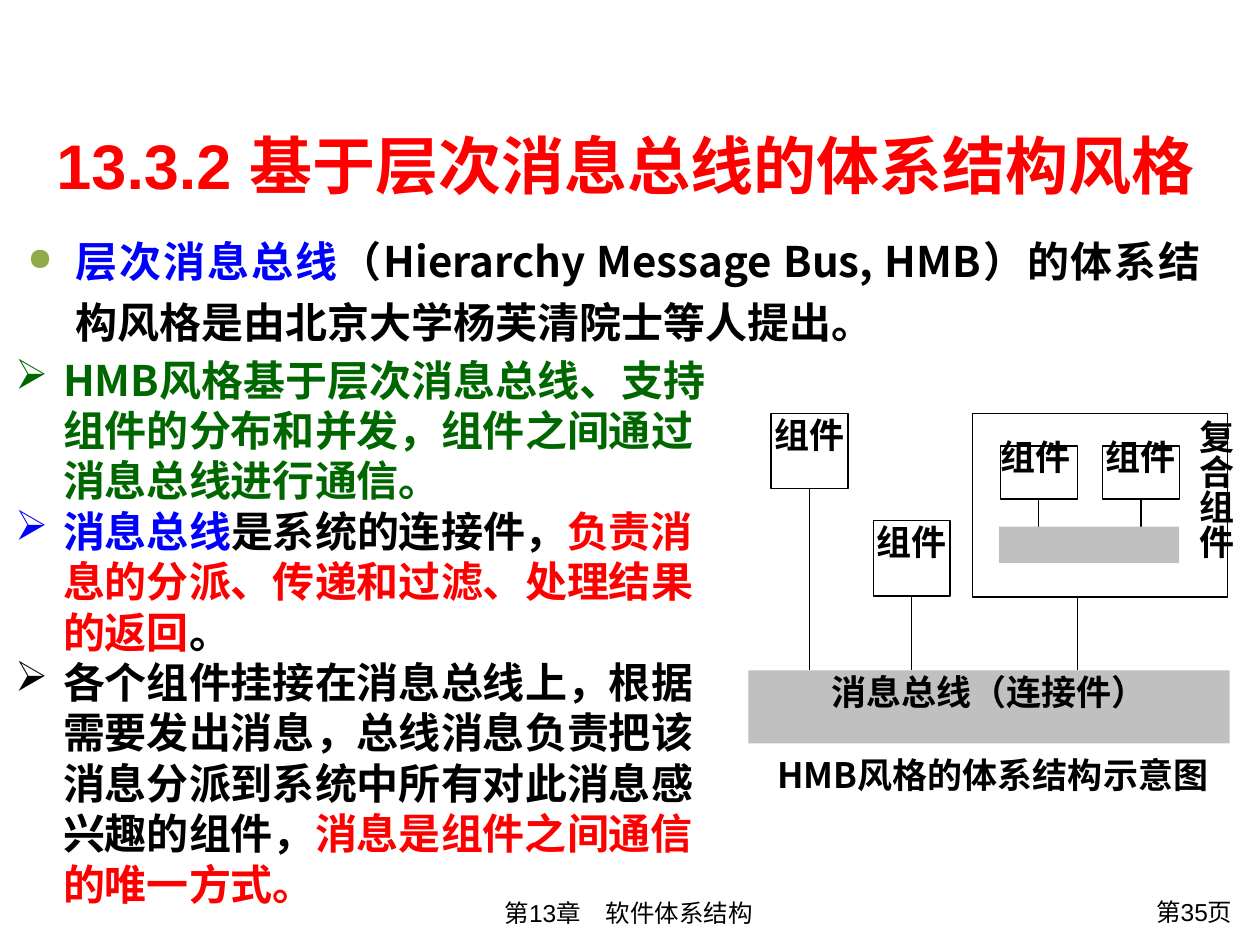
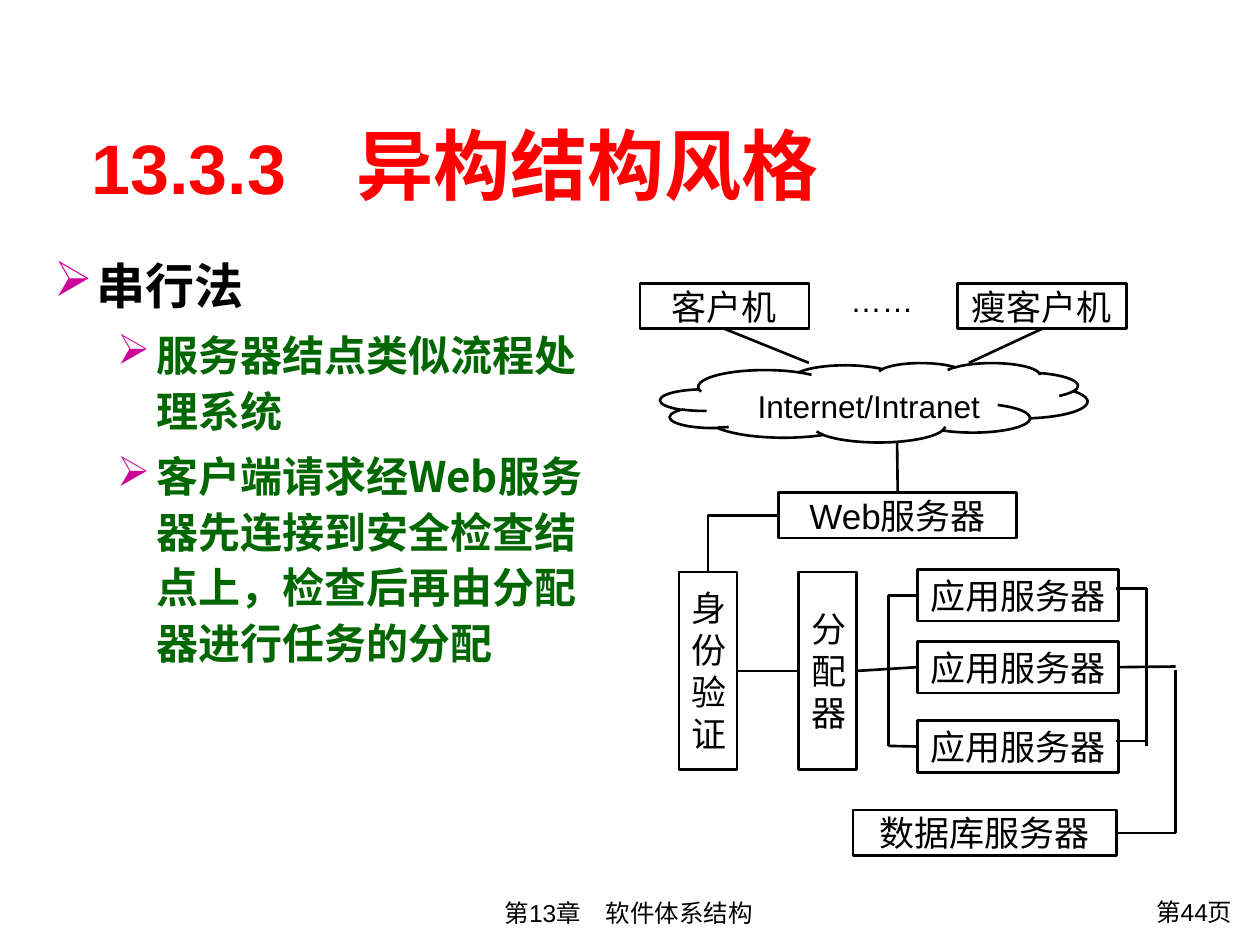
from lxml import etree
from pptx import Presentation
from pptx import util as u
from pptx.dml.color import RGBColor
from pptx.enum import shapes, text
from pptx.oxml.ns import qn

# Shared look
COLUMNS, ROWS = 100, 75
SLIDE_W, SLIDE_H = u.Inches(10), u.Inches(7.5)
LATIN, CJK = "Arial", "Noto Sans CJK JP"
BLACK, WHITE, RED, BLUE = "000000", "FFFFFF", "FF0000", "0000FF"
GREEN, GREY, MAGENTA, OLIVE = "006600", "C0C0C0", "CC0099", "90AB4B"
ALIGN, ANCHOR, PRESET = text.PP_ALIGN, text.MSO_ANCHOR, shapes.MSO_SHAPE
TOP, LEFT, BOTTOM, RIGHT = range(4)
PADDED, TIGHT = (1, 0.5, 1, 0.5), (0, 0, 0, 0)


def color(hex_code):
    return RGBColor.from_string(hex_code)


def x(columns):
    return round(SLIDE_W * columns / COLUMNS)


def y(rows):
    return round(SLIDE_H * rows / ROWS)


# Text
def set_frame(frame, insets, anchor=ANCHOR.TOP):
    frame.word_wrap = True
    frame.vertical_anchor = anchor
    left, top, right, bottom = insets
    frame.margin_left, frame.margin_right = x(left), x(right)
    frame.margin_top, frame.margin_bottom = y(top), y(bottom)


def add_run(paragraph, words, size, hex_code=BLACK, bold=False, face=LATIN):
    run = paragraph.add_run()
    run.text = words
    run.font.size, run.font.bold, run.font.name = u.Pt(size), bold, face
    run.font.color.rgb = color(hex_code)
    east_asian = etree.SubElement(run._r.get_or_add_rPr(), qn("a:ea"))
    east_asian.set("typeface", CJK)


def add_bullet(paragraph, mark, hex_code, margin, hang, percent=100):
    props = paragraph._p.get_or_add_pPr()
    props.set("marL", str(x(margin)))
    props.set("indent", str(-x(hang)))
    tint = etree.SubElement(props, qn("a:buClr"))
    etree.SubElement(tint, qn("a:srgbClr")).set("val", hex_code)
    etree.SubElement(props, qn("a:buSzPct")).set("val", str(percent * 1000))
    etree.SubElement(props, qn("a:buChar")).set("char", mark)


def add_text(slide, place, insets=PADDED, anchor=ANCHOR.TOP):
    left, top, width, height = place
    frame = slide.shapes.add_textbox(x(left), y(top), x(width), y(height)).text_frame
    set_frame(frame, insets, anchor)
    return frame


def add_label(slide, place, words, size, align=ALIGN.LEFT):
    paragraph = add_text(slide, place).paragraphs[0]
    paragraph.alignment = align
    add_run(paragraph, words, size)


def add_list(slide, place, items, insets=TIGHT, line_spacing=1.0):
    """Each item: (bullet settings, size, space before, [(words, colour), ...])."""
    frame = add_text(slide, place, insets)
    for index, (bullet, size, before, pieces) in enumerate(items):
        paragraph = frame.add_paragraph() if index else frame.paragraphs[0]
        add_bullet(paragraph, *bullet)
        paragraph.line_spacing = line_spacing
        if index:
            paragraph.space_before = u.Pt(before)
        for words, hex_code in pieces:
            add_run(paragraph, words, size, hex_code, True, CJK)
    return frame


# Diagram parts
def add_block(slide, place, fill=WHITE, weight=None, preset=PRESET.RECTANGLE):
    left, top, width, height = place
    block = slide.shapes.add_shape(preset, x(left), y(top), x(width), y(height))
    block.shadow.inherit = False
    if fill:
        block.fill.solid()
        block.fill.fore_color.rgb = color(fill)
    else:
        block.fill.background()
    if weight:
        block.line.color.rgb = color(BLACK)
        block.line.width = u.Pt(weight)
    else:
        block.line.fill.background()
    return block


def bus_block(slide, place, words, fill=WHITE, weight=None, spacing=1.0,
              align=ALIGN.CENTER):
    block = add_block(slide, place, fill, weight)
    set_frame(block.text_frame, TIGHT)
    paragraph = block.text_frame.paragraphs[0]
    paragraph.alignment, paragraph.line_spacing = align, spacing
    add_run(paragraph, words, 20, BLACK, True, CJK)
    return block


def server_block(slide, place, words, size=20, preset=PRESET.RECTANGLE,
                 insets=PADDED):
    block = add_block(slide, place, WHITE, 1.5, preset)
    set_frame(block.text_frame, insets, ANCHOR.MIDDLE)
    paragraph = block.text_frame.paragraphs[0]
    paragraph.alignment = ALIGN.CENTER
    add_run(paragraph, words, size)
    return block


def link(slide, start, end, weight, elbow=False):
    """An end is a (column, row) point or a (block, side) pair."""
    kind = shapes.MSO_CONNECTOR.ELBOW if elbow else shapes.MSO_CONNECTOR.STRAIGHT
    points = [(0, 0) if hasattr(p[0], "text_frame") else (x(p[0]), y(p[1]))
              for p in (start, end)]
    line = slide.shapes.add_connector(kind, *points[0], *points[1])
    if hasattr(start[0], "text_frame"):
        line.begin_connect(*start)
    if hasattr(end[0], "text_frame"):
        line.end_connect(*end)
    line.line.color.rgb = color(BLACK)
    line.line.width = u.Pt(weight)
    props = line._element.spPr
    etree.SubElement(props, qn("a:effectLst"))
    if elbow:
        props.find(qn("a:prstGeom")).set("prst", "bentConnector2")


def route(slide, *stops):
    for start, end in zip(stops, stops[1:]):
        link(slide, start, end, 1.5)


# Slides
def start_slide(deck, title_place, title_pieces, page):
    slide = deck.slides.add_slide(deck.slide_layouts[6])
    slide.background.fill.solid()
    slide.background.fill.fore_color.rgb = color(WHITE)
    add_label(slide, (23.5, 70.8, 52.8, 3.4), "第13章　软件体系结构", 14, ALIGN.CENTER)
    add_label(slide, (85.4, 70.7, 13.4, 3.7), f"第{page}页", 14, ALIGN.RIGHT)
    title = add_text(slide, title_place, (1, 0.5, 0, 0.5), ANCHOR.MIDDLE)
    for words, size in title_pieces:
        add_run(title.paragraphs[0], words, size, RED, True)
    return slide


def message_bus_diagram(slide):
    thin = 0.75
    bus = (59.4, 53.2, 38.2, 5.8)
    bus_block(slide, bus, "消息总线（连接件）", GREY)

    # Components hung on the main bus
    for left, top in ((61.2, 32.8), (69.3, 41.3)):
        component = bus_block(slide, (left, top, 6.1, 6), "组件", weight=thin)
        link(slide, (component, BOTTOM), (left + 3.05, bus[1]), thin)

    # Composite component with its inner bus
    for left, align in ((79.4, ALIGN.JUSTIFY), (87.5, ALIGN.CENTER)):
        inner = bus_block(slide, (left, 35.4, 6.1, 4.2), "组件", weight=thin,
                          spacing=0.72, align=align)
        link(slide, (inner, BOTTOM), (left + 3.05, 41.8), thin)
    add_block(slide, (79.3, 41.8, 14.3, 2.9), GREY)
    link(slide, (85.5, 47.3), (85.5, bus[1]), thin)
    composite = bus_block(slide, (94.4, 33.3, 3.1, 14), "复合组件", spacing=0.8)
    composite.text_frame._txBody.bodyPr.set("vert", "eaVert")
    add_block(slide, (77.2, 32.8, 20.2, 14.6), None, thin)

    bus_block(slide, (60.6, 59.8, 36.4, 6), "HMB风格的体系结构示意图")


def message_bus_slide(deck):
    slide = start_slide(deck, (3.5, 8.3, 94.6, 9.5),
                        [("13.3.2 基于层次消息总线的体系结构风格", 36)], 35)
    intro = add_list(slide, (1.2, 17.4, 95.1, 12.2), [
        (("●", OLIVE, 3.8, 3.8, 75), 24, 0, [
            ("层次消息总线", BLUE),
            ("（Hierarchy Message Bus, HMB）的体系结构风格是由北京大学"
             "杨芙清院士等人提出。", BLACK)]),
    ], PADDED, 1.2)
    intro.paragraphs[0].alignment = ALIGN.JUSTIFY
    message_bus_diagram(slide)
    add_list(slide, (1.2, 28.1, 55.1, 44), [
        (("➢", GREEN, 3.8, 3.8), 24, 0, [
            ("HMB风格基于层次消息总线、支持组件的分布和并发，"
             "组件之间通过消息总线进行通信。", GREEN)]),
        (("➢", BLUE, 3.8, 3.8), 24, 0, [
            ("消息总线", BLUE), ("是系统的连接件，", BLACK),
            ("负责消息的分派、传递和过滤、处理结果的返回", RED), ("。", BLACK)]),
        (("➢", BLACK, 3.8, 3.8), 24, 0, [
            ("各个组件挂接在消息总线上，根据需要发出消息，总线消息负责"
             "把该消息分派到系统中所有对此消息感兴趣的组件，", BLACK),
            ("消息是组件之间通信的唯一方式。", RED)]),
    ])


def server_chain_diagram(slide):
    # Clients reach the web server through the network
    client = server_block(slide, (50.8, 22.5, 13.4, 3.6), "客户机")
    thin_client = server_block(slide, (76, 22.5, 13.4, 3.6), "瘦客户机")
    add_label(slide, (66.5, 21.8, 7.9, 4), "……", 18)
    server_block(slide, (52.4, 28.8, 33.9, 6.3), "Internet/Intranet", 18,
                 PRESET.CLOUD, (2.6, 1.3, 1, 0.5))
    link(slide, (client, BOTTOM), (64.2, 28.8), 1.5)
    link(slide, (thin_client, BOTTOM), (76.9, 28.8), 1.5)
    web = server_block(slide, (61.8, 39.1, 18.9, 3.6), "Web服务器")
    link(slide, (71.2, 35.1), (web, TOP), 1.5)

    # Security check, then the dispatcher
    security = server_block(slide, (53.9, 45.4, 4.6, 15.7), "身份验证")
    dispatcher = server_block(slide, (63.4, 45.4, 4.6, 15.7), "分配器")
    link(slide, (web, LEFT), (security, TOP), 1.5, elbow=True)
    link(slide, (security, RIGHT), (dispatcher, LEFT), 1.5)

    # Application servers and the database
    first, second, third = [
        server_block(slide, (72.8, top, 16, 4.1), "应用服务器")
        for top in (45.2, 50.9, 57.2)]
    database = server_block(slide, (67.7, 64.3, 20.9, 3.6), "数据库服务器")
    link(slide, (dispatcher, RIGHT), (second, LEFT), 1.5)
    route(slide, (first, LEFT), (70.5, 47.25), (70.5, 59.2), (third, LEFT))
    route(slide, (88.6, 46.7), (91, 46.7), (91, 59.2))
    route(slide, (88.6, 58.8), (91, 58.8))
    link(slide, (second, RIGHT), (93.3, 52.9), 1.5)
    route(slide, (database, RIGHT), (93.3, 66.1), (93.3, 53.2))


def server_chain_slide(deck):
    slide = start_slide(deck, (6.3, 9.4, 84.3, 7.2),
                        [("13.3.3　", 40), ("异构结构风格", 44)], 44)
    detail = ("➢", MAGENTA, 8.1, 3.1)
    add_list(slide, (4.3, 19.8, 43.3, 33.2), [
        (("➢", MAGENTA, 3.4, 3.4), 28, 0, [("串行法", BLACK)]),
        (detail, 24, 6, [("服务器结点类似流程处理系统", GREEN)]),
        (detail, 24, 6, [("客户端请求经Web服务器先连接到安全检查结点上，"
                          "检查后再由分配器进行任务的分配", GREEN)]),
    ], line_spacing=1.1)
    server_chain_diagram(slide)


def main():
    deck = Presentation()
    deck.slide_width, deck.slide_height = SLIDE_W, SLIDE_H
    message_bus_slide(deck)
    server_chain_slide(deck)
    deck.save("out.pptx")


if __name__ == "__main__":
    main()
